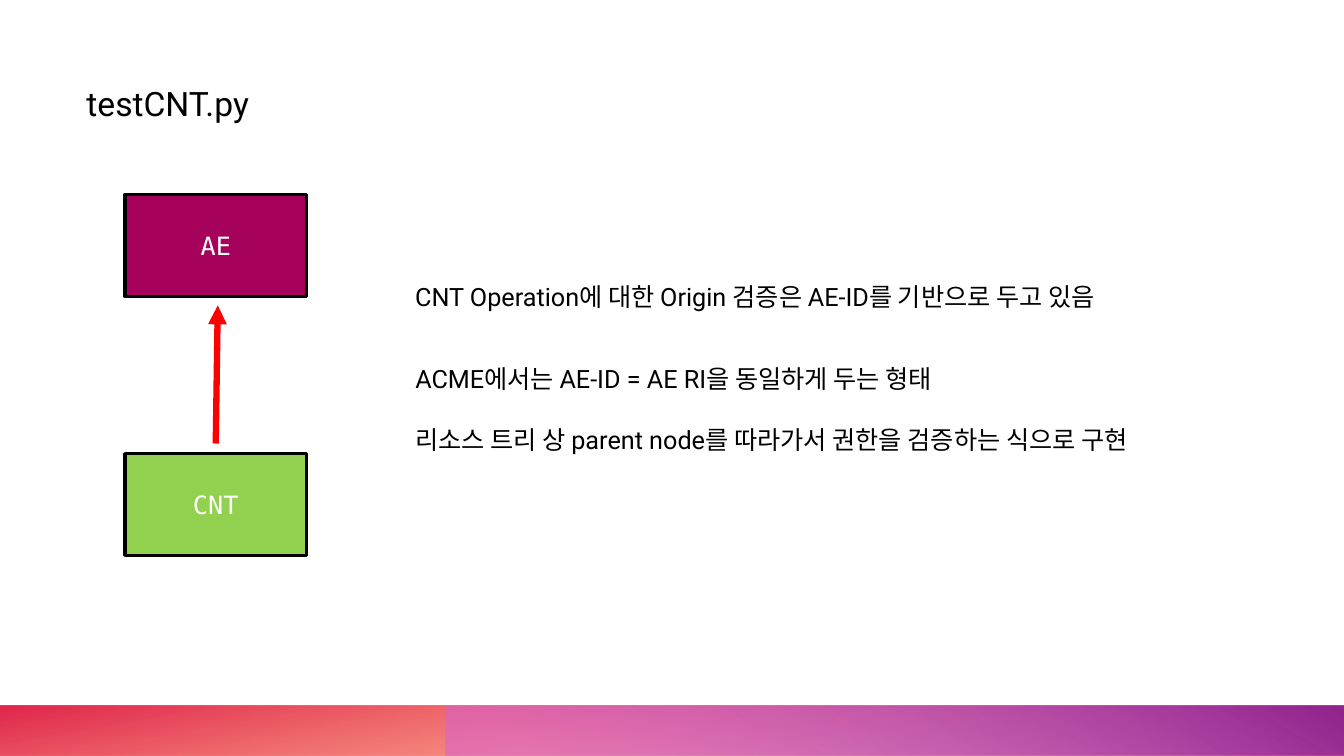
"""Build the testCNT.py slide on origin checks from CNT up to AE."""
from lxml import etree
from pptx import Presentation, util as u
from pptx.dml.color import RGBColor
from pptx.enum import shapes, text
from pptx.oxml import parse_xml
from pptx.oxml.ns import nsdecls, qn

BLACK = RGBColor(0x00, 0x00, 0x00)
WHITE = RGBColor(0xFF, 0xFF, 0xFF)
GREEN = RGBColor(0x92, 0xD0, 0x50)
MAGENTA = RGBColor(0xA6, 0x02, 0x5C)
RED = RGBColor(0xFF, 0x00, 0x00)
ORANGE = RGBColor(0xFE, 0x4A, 0x00)
CRIMSON = RGBColor(0xDA, 0x00, 0x2F)
PINK = RGBColor(0xD8, 0x61, 0xD4)
PURPLE = RGBColor(0x92, 0x24, 0x8E)


def add_rectangle(left, top, width, height):
    rectangle = slide.shapes.add_shape(
        shapes.MSO_SHAPE.RECTANGLE, *map(u.Inches, (left, top, width, height)))
    rectangle.shadow.inherit = False
    return rectangle


def format_font(paragraph, **values):
    paragraph.font.color.rgb = values.pop("color")
    for attribute, value in values.items():
        setattr(paragraph.font, attribute, value)


prs = Presentation()
prs.slide_width, prs.slide_height = u.Inches(13.33), u.Inches(7.5)
slide = prs.slides.add_slide(prs.slide_layouts[6])

footer_bands = [
    (0, 13.33, 180, 100, [(14, ORANGE, 28), (100, CRIMSON, 85)]),
    (4.42, 8.92, 0, 240, [(9, PINK, 55), (99, PURPLE, 100)]),
]
for left, width, rotation, angle, stops in footer_bands:
    band = add_rectangle(left, 7, width, 0.5)
    band.rotation = rotation
    band.line.fill.background()
    properties = band._element.spPr
    properties.find(qn("a:xfrm")).set("flipH", "1")
    stop_list = "".join(
        f'<a:gs pos="{position * 1000}"><a:srgbClr val="{color}">'
        f'<a:alpha val="{opacity * 1000}"/></a:srgbClr></a:gs>'
        for position, color, opacity in stops)
    gradient = parse_xml(
        f'<a:gradFill {nsdecls("a")} rotWithShape="1"><a:gsLst>{stop_list}</a:gsLst>'
        f'<a:lin ang="{angle * 60000}" scaled="0"/></a:gradFill>')
    properties.find(qn("a:prstGeom")).addnext(gradient)

for resource, top, color in [("CNT", 4.5, GREEN), ("AE", 1.93, MAGENTA)]:
    node = add_rectangle(1.24, top, 1.8, 1.01)
    node.fill.solid()
    node.fill.fore_color.rgb = color
    node.line.color.rgb = BLACK
    node.line.width = u.Pt(2.25)
    node.text_frame.text = resource
    node.text_frame.vertical_anchor = text.MSO_ANCHOR.MIDDLE
    label = node.text_frame.paragraphs[0]
    label.alignment = text.PP_ALIGN.CENTER
    format_font(label, name="DejaVu Sans Mono", size=u.Pt(18), color=WHITE)

parent_arrow = slide.shapes.add_connector(
    shapes.MSO_CONNECTOR.STRAIGHT, *map(u.Inches, (2.14, 4.4, 2.16, 3.03)))
parent_arrow.line.color.rgb = RED
parent_arrow.line.width = u.Pt(4.5)
etree.SubElement(parent_arrow.line._get_or_add_ln(), qn("a:tailEnd"), type="triangle")
etree.SubElement(parent_arrow._element.spPr, qn("a:effectLst"))

passages = [
    (0.76, 0.77, 3, 0.5, 24, ["testCNT.py"]),
    (4.02, 2.74, 7.06, 0.4, 18,
     ["CNT Operation에 대한 Origin 검증은 AE-ID를 기반으로 두고 있음"]),
    (4.02, 3.55, 7.79, 1.01, 18,
     ["ACME에서는 AE-ID = AE RI을 동일하게 두는 형태",
      "리소스 트리 상 parent node를 따라가서 권한을 검증하는 식으로 구현"]),
]
for left, top, width, height, size, lines in passages:
    passage = slide.shapes.add_textbox(*map(u.Inches, (left, top, width, height))).text_frame
    passage.word_wrap = True
    passage.auto_size = text.MSO_AUTO_SIZE.SHAPE_TO_FIT_TEXT
    passage.text = "\n".join(lines)
    for index, paragraph in enumerate(passage.paragraphs):
        paragraph.space_before = u.Pt(22 if index else 0)
        format_font(paragraph, name="Roboto", size=u.Pt(size), color=BLACK)

prs.save("out.pptx")
